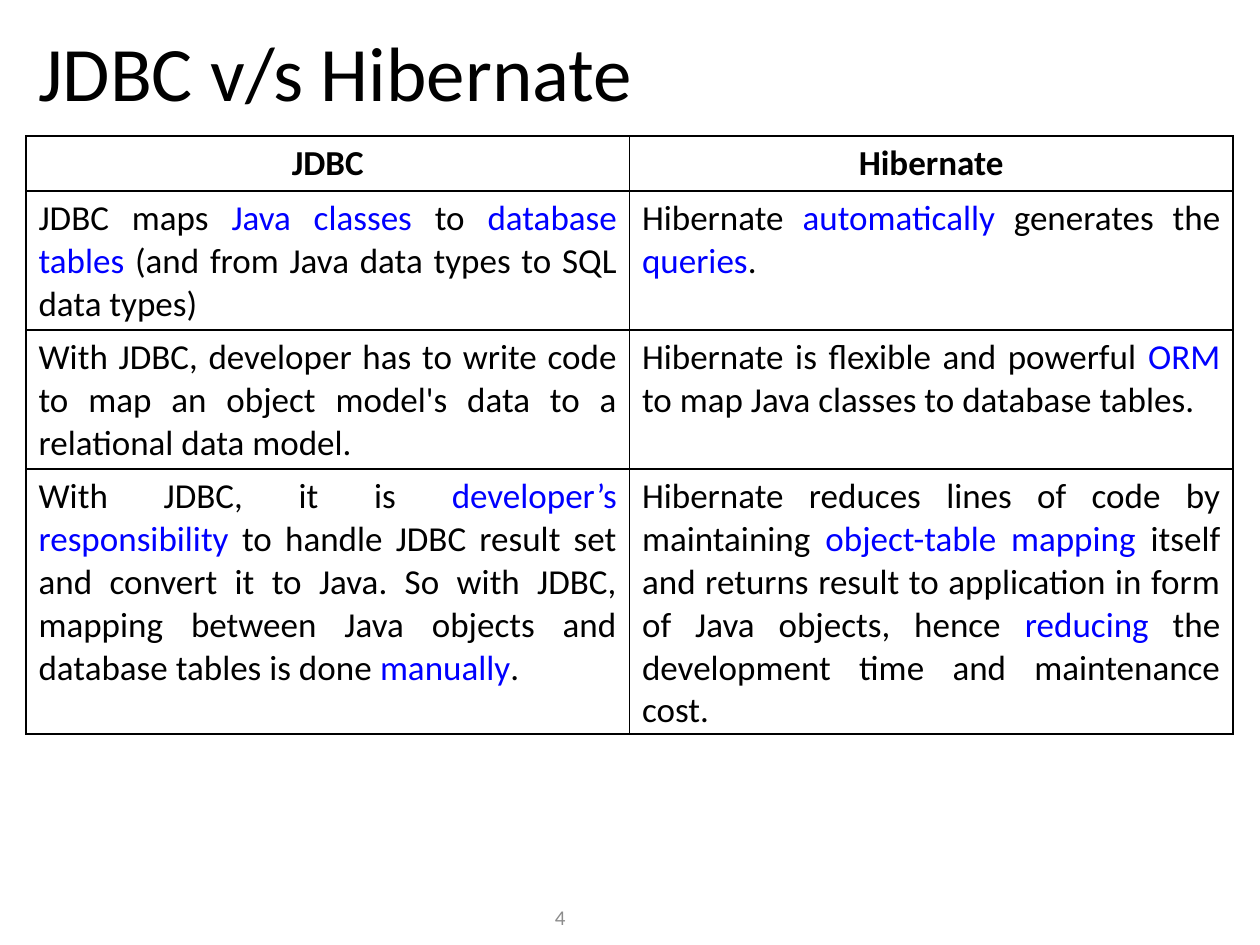
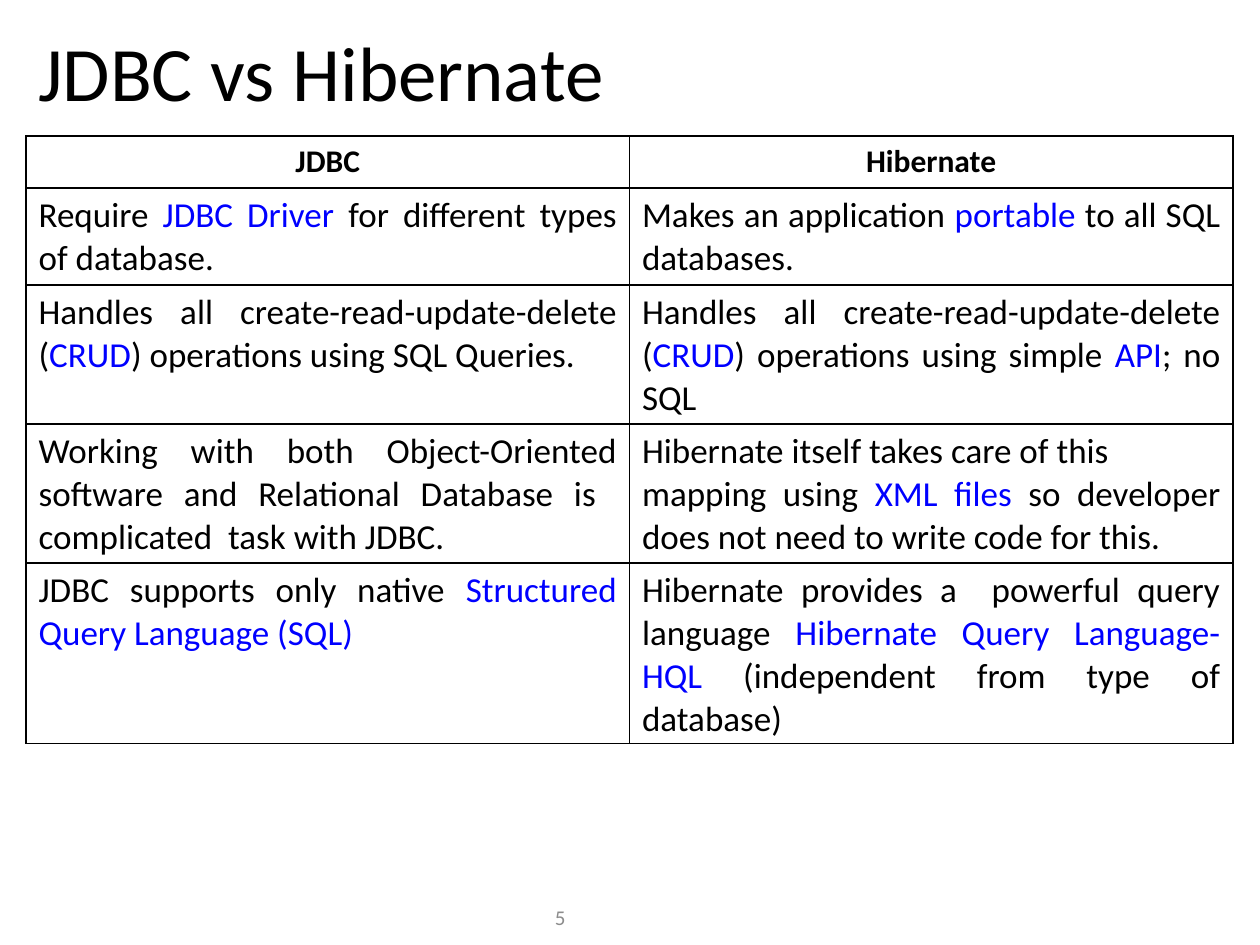
from lxml import etree
from pptx import Presentation
from pptx.dml.color import RGBColor
from pptx.enum.text import MSO_ANCHOR as Anchor, PP_ALIGN as Align
from pptx.oxml.ns import qn
from pptx.util import Emu, Pt


def px(length):
    return Emu(round(length * 914400 / 126))


def write(frame, text, align, anchor, color, **font_format):
    for name, value in dict(word_wrap=True, vertical_anchor=anchor).items():
        setattr(frame, name, value)
    for index, line in enumerate(text.split("\n")):
        paragraph = frame.add_paragraph() if index else frame.paragraphs[0]
        paragraph.alignment = align
        for position, part in enumerate(line.split("*")):
            if part:
                run = paragraph.add_run()
                run.text = part
                for name, value in dict(font_format, name="Calibri").items():
                    setattr(run.font, name, value)
                run.font.color.rgb = RGBColor.from_string(HIGHLIGHT if position % 2 else color)


BLACK, HIGHLIGHT, GRAY = "000000", "0000FF", "8C8C8C"
LEFT, WIDTH, TABLE_TOP = 26, 1207, 136
BORDERS = ("a:lnL", "a:lnR", "a:lnT", "a:lnB")

comparisons = [
    dict(
        title="JDBC v/s Hibernate", number="4", header_size=20, heights=(55, 139, 139, 265),
        rows=[
            ("JDBC maps *Java classes *to *database tables* (and from Java data types to SQL data types)",
             "Hibernate *automatically* generates the *queries*."),
            ("With JDBC, developer has to write code to map an object model's data to a relational data model.",
             "Hibernate is flexible and powerful *ORM* to map Java classes to database tables."),
            ("With JDBC, it is *developer’s responsibility* to handle JDBC result set and convert it to Java. "
             "So with JDBC, mapping between Java objects and database tables is done *manually*.",
             "Hibernate reduces lines of code by maintaining *object-table mapping *itself and returns result "
             "to application in form of Java objects, hence *reducing* the development time and maintenance cost."),
        ],
    ),
    dict(
        title="JDBC vs Hibernate", number="5", header_size=18, heights=(52, 97, 139, 139, 180),
        rows=[
            ("Require *JDBC Driver *for different types of database.",
             "Makes an application *portable* to all SQL databases."),
            ("Handles all create-read-update-delete (*CRUD*) operations using SQL Queries.",
             "Handles all create-read-update-delete (*CRUD*) operations using simple *API*; no SQL"),
            ("Working with both Object-Oriented software and Relational Database is  complicated  task with JDBC.",
             "Hibernate itself takes care of this\n"
             "mapping using *XML files *so developer does not need to write code for this."),
            ("JDBC supports only native *Structured Query Language (SQL)*",
             "Hibernate provides a  powerful query language *Hibernate Query Language-HQL *"
             "(independent from type of database)"),
        ],
    ),
]

presentation = Presentation()
presentation.slide_width, presentation.slide_height = px(1260), px(945)

for comparison in comparisons:
    slide = presentation.slides.add_slide(presentation.slide_layouts[6])
    title = slide.shapes.add_textbox(px(LEFT), px(15), px(WIDTH), px(111))
    write(title.text_frame, comparison["title"], Align.LEFT, Anchor.MIDDLE, BLACK, size=Pt(44))
    number = slide.shapes.add_textbox(px(494), px(892), px(84), px(50))
    write(number.text_frame, comparison["number"], Align.RIGHT, Anchor.MIDDLE, GRAY, size=Pt(12))

    header_format = dict(align=Align.CENTER, size=Pt(comparison["header_size"]), bold=True)
    body_format = dict(align=Align.JUSTIFY, size=Pt(20), bold=False)
    top = TABLE_TOP
    rows = [("JDBC", "Hibernate")] + comparison["rows"]
    for index, (texts, height) in enumerate(zip(rows, comparison["heights"])):
        table = slide.shapes.add_table(1, 2, px(LEFT), px(top), px(WIDTH), px(height)).table
        table.first_row = table.horz_banding = False
        for cell, text in zip(table.rows[0].cells, texts):
            cell.vertical_anchor = Anchor.TOP
            properties = cell._tc.get_or_add_tcPr()
            for border in BORDERS:
                line = etree.SubElement(properties, qn(border), w=str(Pt(1)))
                fill = etree.SubElement(line, qn("a:solidFill"))
                etree.SubElement(fill, qn("a:srgbClr"), val=BLACK)
            cell.fill.background()
            cell_format = body_format if index else header_format
            write(cell.text_frame, text, anchor=None, color=BLACK, **cell_format)
        top += height

presentation.save("out.pptx")
